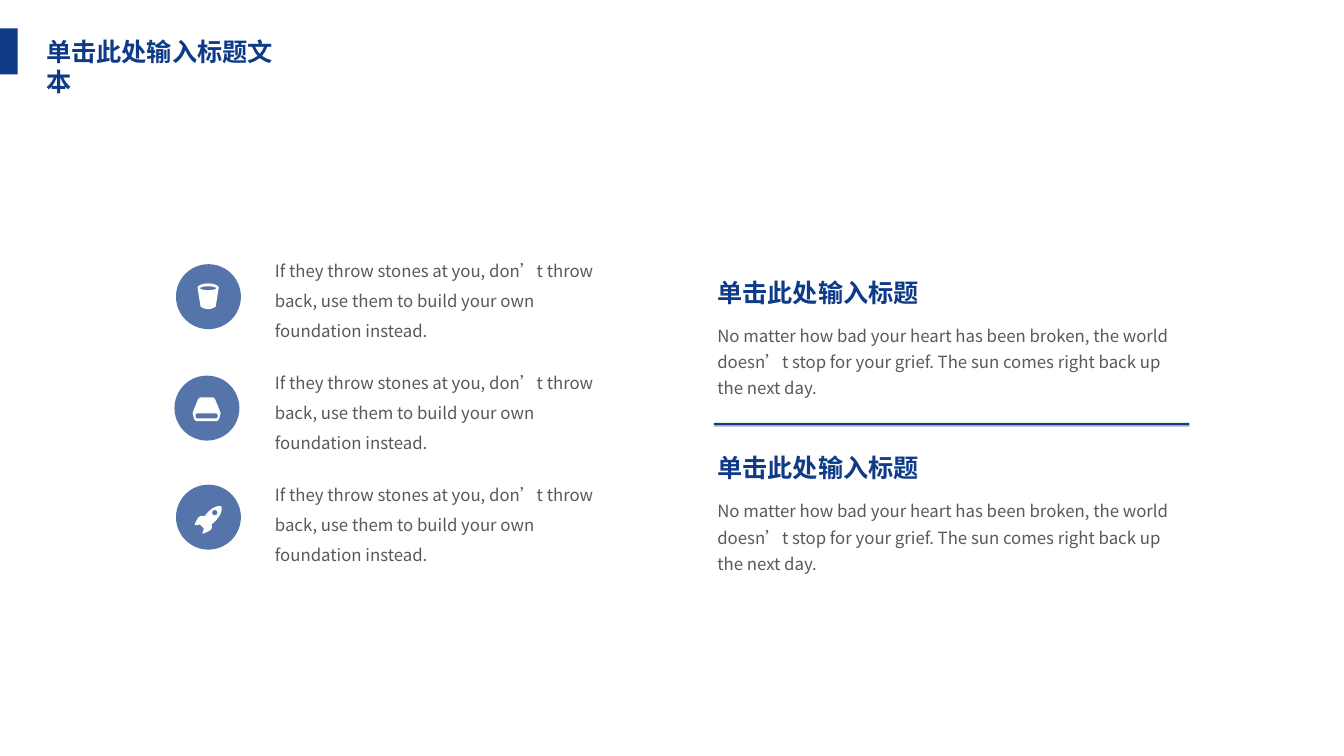
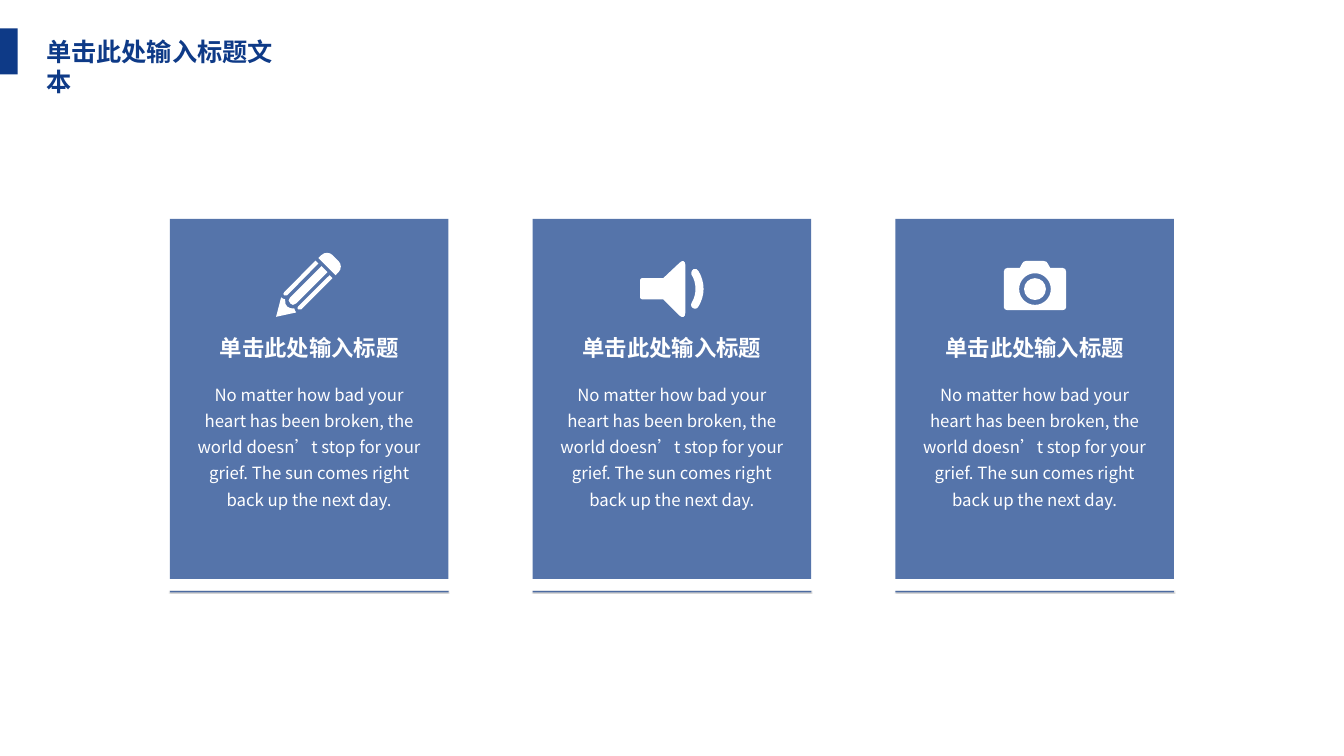
import pptx
import pptx.dml.color
import pptx.enum.shapes
import pptx.enum.text
import pptx.oxml
import pptx.oxml.ns
import pptx.util

Pt = pptx.util.Pt
Kind = pptx.enum.shapes.MSO_SHAPE
Align = pptx.enum.text.PP_ALIGN
qn = pptx.oxml.ns.qn

FONT = "Noto Sans CJK SC"
COLORS = {"navy": "0E3A87", "gray": "595959", "white": "FFFFFF", "black": "000000"}
TITLE = "单击此处输入标题文本"
HEAD = "单击此处输入标题"
STONE = ("If they throw stones at you, don’t throw back, "
         "use them to build your own foundation instead.")
HEART = ("No matter how bad your heart has been broken, the world doesn’t stop "
         "for your grief. The sun comes right back up the next day.")


def oval(x, y, rx, ry):
    kx, ky = rx * 0.55, ry * 0.55
    return [(x + rx, y),
            (x + rx, y + ky, x + kx, y + ry, x, y + ry),
            (x - kx, y + ry, x - rx, y + ky, x - rx, y),
            (x - rx, y - ky, x - kx, y - ry, x, y - ry),
            (x + kx, y - ry, x + rx, y - ky, x + rx, y)]


CUP = [
    [(7.6, 0), (2.9, 0, 0, 1.9, 0, 2.9), (2.2, 16.6), (2.2, 16.6, 4.3, 18.4, 7.6, 18.4),
     (10.9, 18.4, 13, 16.6, 13, 16.6), (15.2, 2.9), (15.2, 1.9, 12.3, 0, 7.6, 0)],
    oval(7.6, 3.5, 5.8, 1.4),
]
DRIVE = [
    [(19.6, 10), (16, 1.2), (15.8, 0.5, 15.1, 0, 14.4, 0), (5.6, 0),
     (4.9, 0, 4.2, 0.5, 4, 1.2), (0.4, 10), (0, 10.4, 0, 11.2, 0, 11.6), (1.2, 15.8),
     (1.4, 16.6, 2, 17, 2.6, 17), (17.4, 17), (18, 17, 18.6, 16.6, 18.8, 15.8),
     (20, 11.6), (20, 11.2, 20, 10.4, 19.6, 10)],
    [(17.9, 12.4), (17.9, 14.2), (17.9, 14.8, 17.5, 15.1, 17, 15.1), (3, 15.1),
     (2.5, 15.1, 2.1, 14.8, 2.1, 14.2), (2.1, 12.4), (2.1, 11.9, 2.5, 11.5, 3, 11.5),
     (17, 11.5), (17.5, 11.5, 17.9, 11.9, 17.9, 12.4)],
]
ROCKET = [
    [(12.2, 13.7), (12.2, 13.7, 20.2, 7.9, 19.4, 1.4), (18.7, 0.7),
     (12.2, 0, 7.2, 7.9, 7.2, 7.9), (2.2, 7.2, 2.9, 8.6, 0, 13.7),
     (0, 14.4, 0.7, 14.4, 1.4, 14.4), (2.2, 14.4, 3.6, 13.7, 3.6, 13.7), (6.5, 16.6),
     (6.5, 16.6, 6.5, 18, 5.8, 19.4), (5, 20.2, 5.8, 20.9, 6.5, 20.2),
     (11.5, 18, 13, 18, 12.2, 13.7)],
    oval(14.4, 5.4, 2, 2),
]
PENCIL = [
    [(44.6, 14.4), (42.5, 16.6), (30.2, 4.3), (32.4, 2.2), (34.6, 0, 38.2, 0, 40.3, 2.2),
     (44.6, 6.5), (46.8, 8.6, 46.8, 12.2, 44.6, 14.4)],
    [(15.8, 38.9), (15.1, 39.6, 15.1, 40.3, 15.8, 41), (16.6, 41.2, 17.3, 41.2, 18, 41),
     (40.3, 18.7), (38.2, 16.6)],
    [(5.8, 28.8), (5, 29.5, 5, 30.2, 5.8, 31), (6.5, 31.1, 7.2, 31.1, 7.9, 31),
     (30.2, 8.2), (28.1, 6.2)],
    [(32.4, 10.1), (10.1, 32.4), (8.6, 33.8, 8.6, 35.3, 10.1, 36.7),
     (10.8, 38.2, 13, 38.2, 14.4, 36.7), (36.7, 14.4)],
    [(14.4, 43.2), (13.7, 42.5, 13, 41, 13, 40.3), (12.2, 40.3),
     (10.8, 40.3, 9.4, 40.3, 7.9, 38.9), (6.5, 38.2, 6.5, 36, 6.5, 34.6), (6.5, 33.8),
     (5.8, 33.8, 4.3, 33.1, 3.6, 32.4), (0, 46.3)],
]
SPEAKER = [
    [(28.1, 1.4), (28.8, 0.2, 30.2, 0, 31, 0), (31.7, 0, 32.4, 1.4, 32.4, 2.9),
     (32.4, 36.7), (32.4, 38.9, 31.7, 39.6, 31, 39.9),
     (30.2, 40.3, 28.8, 39.6, 28.1, 38.9), (16.6, 27.4), (1.4, 27.4),
     (0.7, 27.4, 0, 27, 0, 26.4), (0, 13.7), (0, 12.9, 0.7, 12.2, 1.4, 12.2), (16.6, 12.2)],
    [(38.2, 5.8), (38.9, 5.5, 39.6, 5.5, 40.3, 5.8), (41, 5.8, 41.4, 6.5, 41.8, 7.2),
     (43.9, 10.8, 45.4, 15.1, 45.4, 20), (45.4, 24.5, 43.9, 28.8, 41.8, 32.4),
     (41, 33.8, 40.3, 34, 39.6, 34), (38.9, 34, 38.2, 33.8, 38.2, 33.8),
     (37.4, 33.1, 36.7, 33.1, 36.7, 32.4), (36, 31.7, 36.7, 31, 36.7, 30.2),
     (38.9, 26.6, 39.6, 23, 39.6, 20), (39.6, 16.6, 38.9, 13, 36.7, 9.6),
     (36.7, 8.9, 36.2, 8.6, 36.7, 7.9), (36.7, 7.2, 37.4, 6.5, 38.2, 5.8)],
]
CAMERA = [
    [(41.8, 5), (43.5, 5, 44.6, 6.2, 44.6, 7.9), (44.6, 33.1),
     (44.6, 34.4, 43.5, 35.3, 41.8, 35.3), (2.8, 35.3), (1.1, 35.3, 0, 34.4, 0, 33.1),
     (0, 7.9), (0, 6.2, 1.1, 5, 2.8, 5), (11.5, 5), (13, 2.2), (13.4, 0.9, 14.6, 0, 16.6, 0),
     (28, 0), (30, 0, 31.2, 0.9, 31.6, 2.2), (33.1, 5)],
    oval(22.3, 20.2, 11.3, 11.3),
    oval(22.3, 20.2, 7.8, 7.8),
]


class Deck:
    def __init__(self):
        self.file = pptx.Presentation()
        self.file.slide_width, self.file.slide_height = Pt(960), Pt(540)

    def page(self):
        self.slide = self.file.slides.add_slide(self.file.slide_layouts[6])
        self.leave()
        self.text(27.1, 23, 191, 27.4, TITLE, 18, "navy", bold=True, pad=(5.8, 2.9))
        self.shape(Kind.RECTANGLE, 0, 20.2, 12.6, 33)

    def group(self):
        self.area = self.slide.shapes.add_group_shape().shapes

    def leave(self):
        self.area = self.slide.shapes

    def fade(self, fill, color, alpha):
        fill.solid()
        fill.fore_color.rgb = self.rgb(color)
        if alpha < 100:
            for tone in fill._xPr.iter(qn("a:srgbClr")):
                tone.append(self.xml("a:alpha", f'val="{alpha * 1000}"'))

    def rgb(self, color):
        return pptx.dml.color.RGBColor.from_string(COLORS[color])

    def xml(self, tag, attrs="", body=""):
        return pptx.oxml.parse_xml(f'<{tag} {pptx.oxml.ns.nsdecls("a")} {attrs}>{body}</{tag}>')

    def paint(self, item, color, alpha=100):
        item.shadow.inherit = False
        item.line.fill.background()
        self.fade(item.fill, color, alpha)

    def shape(self, kind, x, y, w, h, alpha=100):
        self.paint(self.area.add_shape(kind, Pt(x), Pt(y), Pt(w), Pt(h)), "navy", alpha)

    def icon(self, x, y, paths):
        pen = None
        for start, *steps in paths:
            spot = Pt(start[0]), Pt(start[1])
            if pen:
                pen.move_to(*spot)
            else:
                pen = self.area.build_freeform(*spot)
            pen.add_line_segments([(Pt(s[i]), Pt(s[i + 1]))
                                   for s in steps for i in range(0, len(s), 2)])
        item = pen.convert_to_shape(Pt(x), Pt(y))
        self.bend(item, [s for path in paths for s in path[1:]])
        self.paint(item, "white")

    def bend(self, item, steps):
        lines = iter(list(item._element.iter(qn("a:lnTo"))))
        for step in steps:
            parts = [next(lines) for _ in range(len(step) // 2)]
            if len(parts) == 3:
                curve = self.xml("a:cubicBezTo")
                parts[0].addprevious(curve)
                for part in parts:
                    curve.append(part[0])
                    part.getparent().remove(part)

    def text(self, x, y, w, h, words, size, color, bold=False, wrap=True,
             align=Align.LEFT, gap=None, pad=(7.2, 3.6)):
        frame = self.area.add_textbox(Pt(x), Pt(y), Pt(w), Pt(h)).text_frame
        frame.word_wrap = wrap
        frame.margin_left = frame.margin_right = Pt(pad[0])
        frame.margin_top = frame.margin_bottom = Pt(pad[1])
        frame.text = words
        para = frame.paragraphs[0]
        para.alignment = align
        if gap:
            para.line_spacing = gap
        font = para.runs[0].font
        font.size, font.bold, font.name = Pt(size), bold, FONT
        font.color.rgb = self.rgb(color)
        font._rPr.find(qn("a:latin")).addnext(self.xml("a:ea", f'typeface="{FONT}"'))

    def rule(self, x, y, w, width, alpha=100):
        line = self.area.add_connector(pptx.enum.shapes.MSO_CONNECTOR.STRAIGHT,
                                       Pt(x), Pt(y), Pt(x + w), Pt(y))
        line.line.width = Pt(width)
        self.fade(line.line.fill, "navy", alpha)
        tone = f'<a:srgbClr val="{COLORS["black"]}"><a:alpha val="40000"/></a:srgbClr>'
        cast = (f'<a:outerShdw blurRad="{Pt(0.5)}" dist="{Pt(0.2)}" dir="5400000" '
                f'rotWithShape="0">{tone}</a:outerShdw>')
        line._element.spPr.append(self.xml("a:effectLst", body=cast))


def points(deck):
    deck.page()
    rows = [(125.7, 188.7, 15.4, 13.7, CUP), (124.6, 268.3, 13, 15.5, DRIVE),
            (125.7, 346.2, 13.3, 14.6, ROCKET)]
    for i, (x, y, dx, dy, art) in enumerate(rows):
        deck.group()
        deck.shape(Kind.OVAL, x, y, 46.4, 46.4, 70)
        deck.icon(x + dx, y + dy, art)
        deck.leave()
        deck.text(189.3, 175.3 + 80 * i, 264, 72, STONE, 12, "gray", gap=1.5)
    for y in (194.4, 319.9):
        deck.text(505.3, y, 158.4, 30, HEAD, 18, "navy", bold=True, wrap=False)
        deck.text(505.3, y + 30.2, 348.5, 63, HEART, 12, "gray", gap=1.3)
    deck.rule(510, 303, 339.4, 1.5)


def cards(deck):
    deck.page()
    wide = 199
    for i, (dx, y, art) in enumerate([(75.8, 180, PENCIL), (76.7, 186.5, SPEAKER),
                                      (77.4, 186.3, CAMERA)]):
        x = 121.4 + 259.1 * i
        deck.group()
        deck.shape(Kind.RECTANGLE, x, 156.3, wide, 257.2, 70)
        deck.text(x + 28.2, 235.4, 142.6, 28, HEAD, 16, "white", bold=True,
                  wrap=False, align=Align.CENTER)
        deck.text(x + 11, 266.8, 177, 101, HEART, 12, "white", align=Align.CENTER, gap=1.3)
        deck.icon(x + dx, y, art)
        deck.leave()
        deck.rule(x, 422.6, wide, 1, 70)


def main():
    deck = Deck()
    points(deck)
    cards(deck)
    deck.file.save("out.pptx")


if __name__ == "__main__":
    main()
